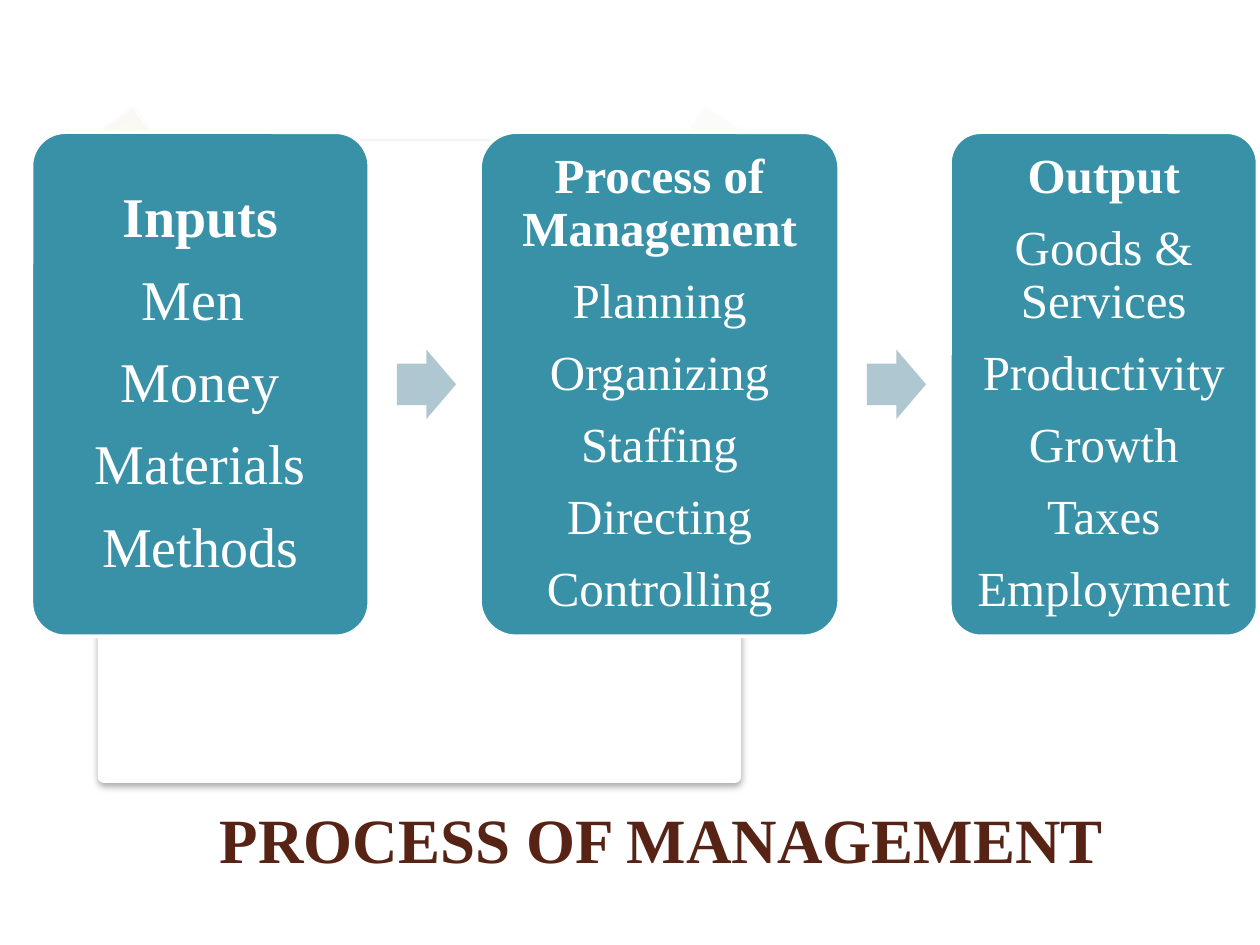
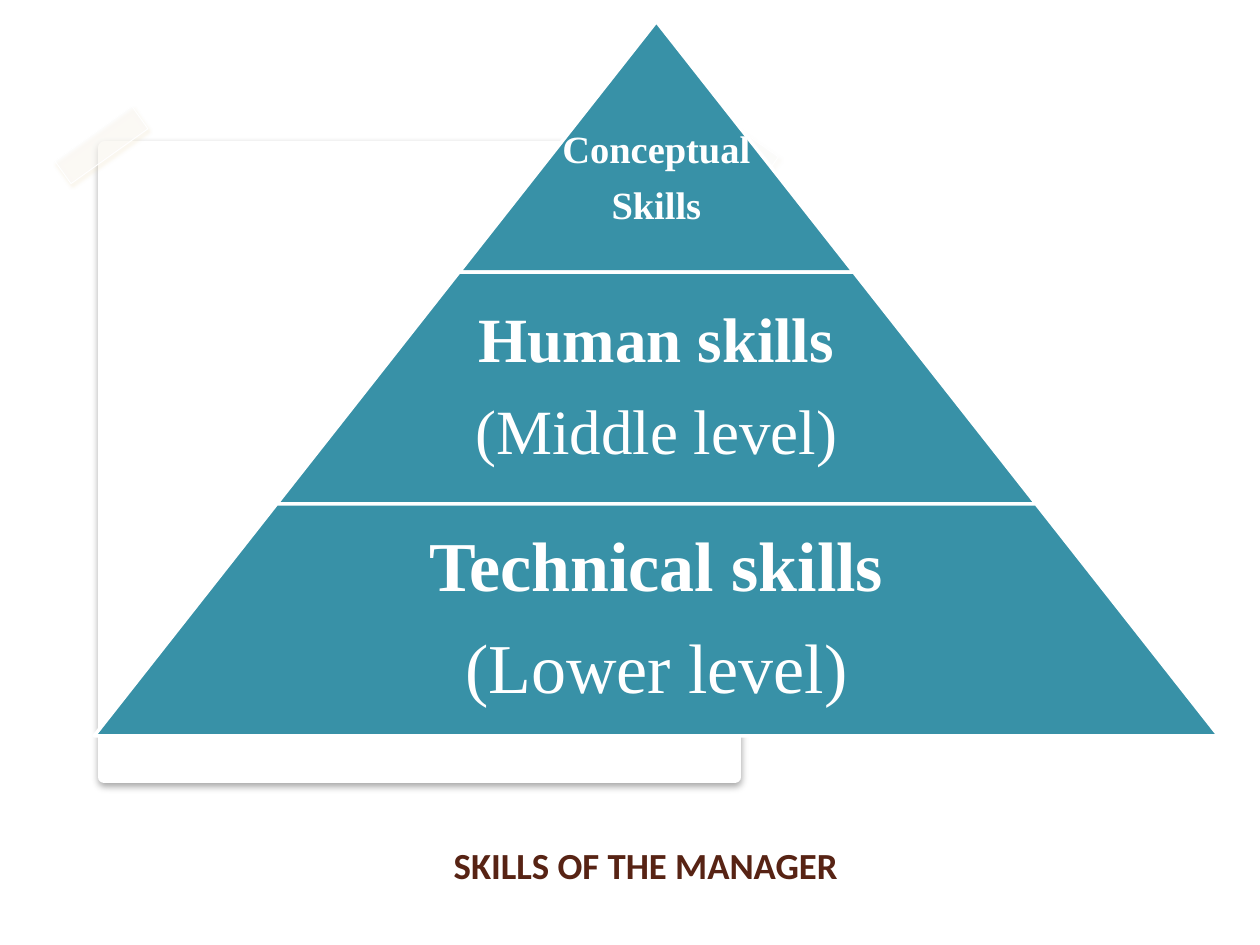
from pptx import Presentation
from pptx.dml.color import RGBColor
from pptx.enum.shapes import MSO_SHAPE as Preset
from pptx.enum.text import MSO_ANCHOR as Anchor, MSO_AUTO_SIZE as AutoSize, PP_ALIGN as Align
from pptx.oxml import parse_xml
from pptx.oxml.ns import nsdecls, qn
from pptx.util import Inches, Pt

WHITE = RGBColor(0xFF, 0xFF, 0xFF)
TEAL = RGBColor(0x38, 0x91, 0xA7)
PALE_BLUE = RGBColor(0xAF, 0xC7, 0xD0)
BROWN = RGBColor(0x57, 0x23, 0x14)
TAPE = RGBColor(0xFB, 0xFB, 0xFB)
BLACK = RGBColor(0, 0, 0)
TAN = RGBColor(0xEB, 0xDA, 0xB2)
SAND = RGBColor(0xE7, 0xDE, 0xC9)
SERIF, SANS = "Times New Roman", "Calibri"

TITLE_ONLY = 5
PARA_FORMAT = {"alignment": Align.CENTER, "line_spacing": 0.9}
SPACE_AFTER = 0.39  # share of the text size


def apply(target, values):
    for name, value in values.items():
        setattr(target, name, value)


def add_preset(page, preset, box, fill, line=None, line_width=2):
    shape = page.shapes.add_shape(preset, *map(Inches, box))
    shape.shadow.inherit = False
    shape.fill.solid()
    shape.fill.fore_color.rgb = fill
    if line is None:
        shape.line.fill.background()
    else:
        shape.line.color.rgb = line
        shape.line.width = Pt(line_width)
    return shape


def add_shadow(shape, color, alpha, blur, distance, angle):
    shape.element.spPr.find(qn("a:effectLst")).append(parse_xml(
        f'<a:outerShdw {nsdecls("a")} blurRad="{Pt(blur)}" dist="{Pt(distance)}" '
        f'dir="{angle * 60000}" algn="tl" rotWithShape="0"><a:srgbClr val="{color}">'
        f'<a:alpha val="{alpha * 1000}"/></a:srgbClr></a:outerShdw>'))


def set_opacity(shape, percent):
    color = shape.element.spPr.find(qn("a:solidFill"))[0]
    color.append(parse_xml(f'<a:alpha {nsdecls("a")} val="{percent * 1000}"/>'))


def write_lines(frame, lines, size, margin, bold_lines=1):
    """Fill a text frame with centred lines, the first ones bold."""
    sides = ("margin_left", "margin_top", "margin_right", "margin_bottom")
    apply(frame, dict.fromkeys(sides, Inches(margin)))
    apply(frame, {"word_wrap": True, "vertical_anchor": Anchor.MIDDLE})
    for index, line in enumerate(lines):
        para = frame.add_paragraph() if index else frame.paragraphs[0]
        apply(para, PARA_FORMAT | {"space_after": Pt(round(size * SPACE_AFTER, 1))})
        span = para.add_run()
        span.text = line
        apply(span.font, {"name": SERIF, "size": Pt(size), "bold": index < bold_lines})
        span.font.color.rgb = WHITE


def add_photo_frame(page, layout):
    """Draw the taped frame and move it to the layout behind all slides."""
    frame = add_preset(page, Preset.RECTANGLE, (0.83, 1.17, 5, 5), WHITE, WHITE, 7)
    add_shadow(frame, BLACK, 35, 4.4, 1.5, 90)
    parts = [frame]
    for box, rotation, color, alpha in (
            ((0.43, 1.04, 0.75, 0.22), 324.5, TAN, 40),
            ((5.47, 1.02, 0.71, 0.22), 35.1, SAND, 20)):
        tape = add_preset(page, Preset.FLOWCHART_PROCESS, box, TAPE, WHITE, 0.5)
        tape.rotation = rotation
        set_opacity(tape, 45)
        add_shadow(tape, color, alpha, 2, 2, 55)
        parts.append(tape)
    for index, part in enumerate(parts):
        part.element.nvSpPr.cNvPr.set("id", str(101 + index))
        layout.shapes.element.insert(2 + index, part.element)


def set_title(page, text, box, font_name, size):
    title = page.shapes.title
    apply(title, dict(zip(("left", "top", "width", "height"), map(Inches, box))))
    frame = title.text_frame
    frame.text = text
    apply(frame, {"vertical_anchor": Anchor.BOTTOM, "auto_size": AutoSize.NONE,
                  "word_wrap": True})
    para = frame.paragraphs[0]
    para.alignment = Align.CENTER
    font = para.runs[0].font
    apply(font, {"name": font_name, "size": Pt(size), "bold": True})
    font.color.rgb = BROWN


def add_process_flow(page, left, top, height, cards):
    """Place cards from left to right with an arrow in each gap."""
    gap, arrow_width, arrow_height = 0.88, 0.47, 0.55
    for index, (width, size, lines) in enumerate(cards):
        if index:
            arrow_box = (left - gap + 0.22, top + (height - arrow_height) / 2,
                         arrow_width, arrow_height)
            arrow = add_preset(page, Preset.RIGHT_ARROW, arrow_box, PALE_BLUE)
            arrow.adjustments[0] = 0.6
        card = add_preset(page, Preset.ROUNDED_RECTANGLE,
                          (left, top, width, height), TEAL, WHITE)
        card.adjustments[0] = 0.1
        write_lines(card.text_frame, lines, size, 0.12)
        left += width + gap


def add_skill_pyramid(page, center, apex, tiers):
    """Stack tiers whose sides share one slope, starting from the apex."""
    slope = 0.787
    top = apex
    for height, size, lines, bold_lines in tiers:
        bottom = top + height
        half = slope * (bottom - apex)
        tier = add_preset(page, Preset.TRAPEZOID,
                          (center - half, top, 2 * half, height), TEAL, WHITE)
        tier.adjustments[0] = slope
        text_half = half if top == apex else 0.65 * half
        label = page.shapes.add_textbox(
            *map(Inches, (center - text_half, top, 2 * text_half, height)))
        write_lines(label.text_frame, lines, size, 0.05, bold_lines)
        if top == apex:
            apply(label.text_frame, {"vertical_anchor": Anchor.BOTTOM,
                                     "margin_bottom": Inches(0.35)})
        top = bottom


def build_process_slide(page):
    set_title(page, "PROCESS OF MANAGEMENT", (1.42, 6.17, 7.66, 0.83), SERIF, 36)
    add_process_flow(page, 0.25, 1.05, 4, (
        (2.68, 32, ("Inputs", "Men ", "Money", "Materials", "Methods")),
        (2.85, 28, ("Process of Management", "Planning", "Organizing", "Staffing",
                    "Directing", "Controlling")),
        (2.44, 28, ("Output", "Goods & Services", "Productivity", "Growth", "Taxes",
                    "Employment")),
    ))


def build_skills_slide(page):
    set_title(page, "SKILLS OF THE MANAGER", (0.25, 6.17, 9.75, 0.92), SANS, 21)
    add_skill_pyramid(page, 5.21, 0.17, (
        (1.99, 22, ("Conceptual", "Skills"), 2),
        (1.84, 36, ("Human skills", "(Middle level)"), 1),
        (1.84, 40, ("Technical skills", "(Lower level)"), 1),
    ))


def main():
    deck = Presentation()
    apply(deck, {"slide_width": Inches(10), "slide_height": Inches(7.5)})
    layout = deck.slide_layouts[TITLE_ONLY]
    process_page, skills_page = (deck.slides.add_slide(layout) for _ in range(2))
    add_photo_frame(process_page, layout)
    build_process_slide(process_page)
    build_skills_slide(skills_page)
    deck.save("out.pptx")


if __name__ == "__main__":
    main()
